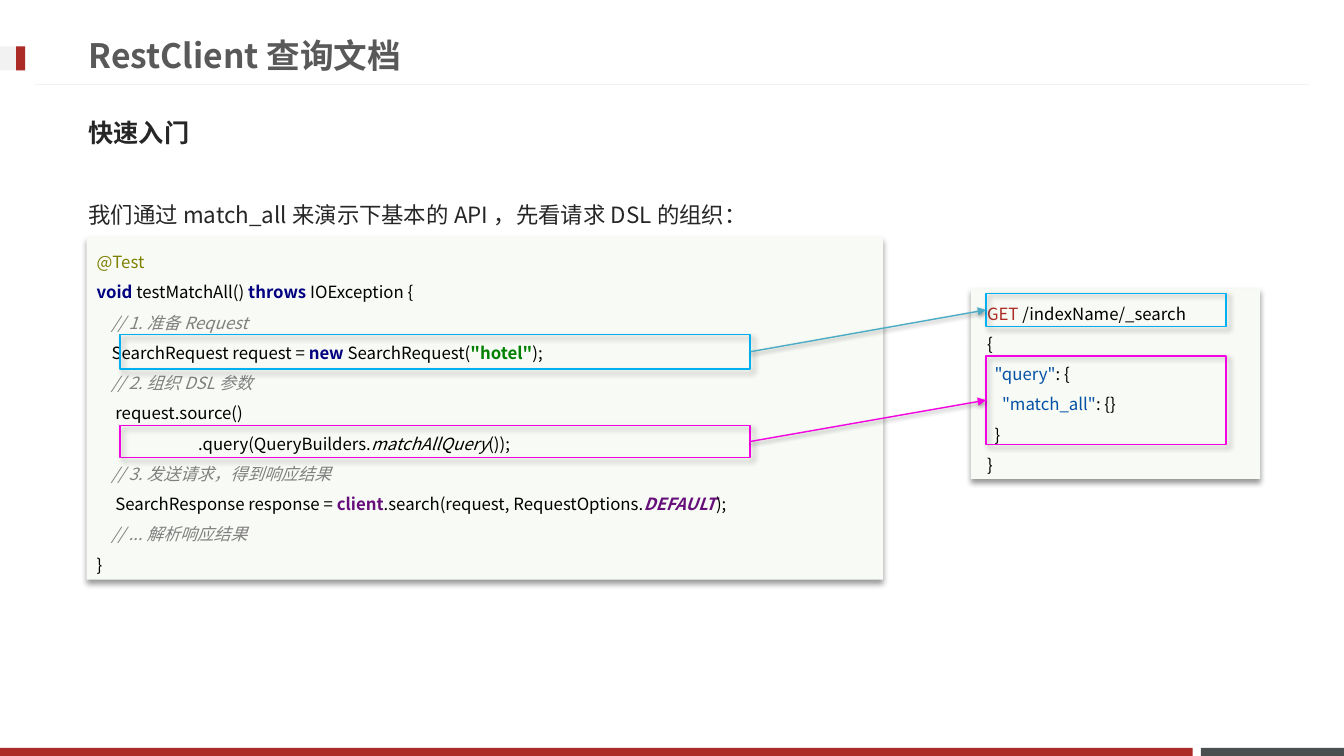
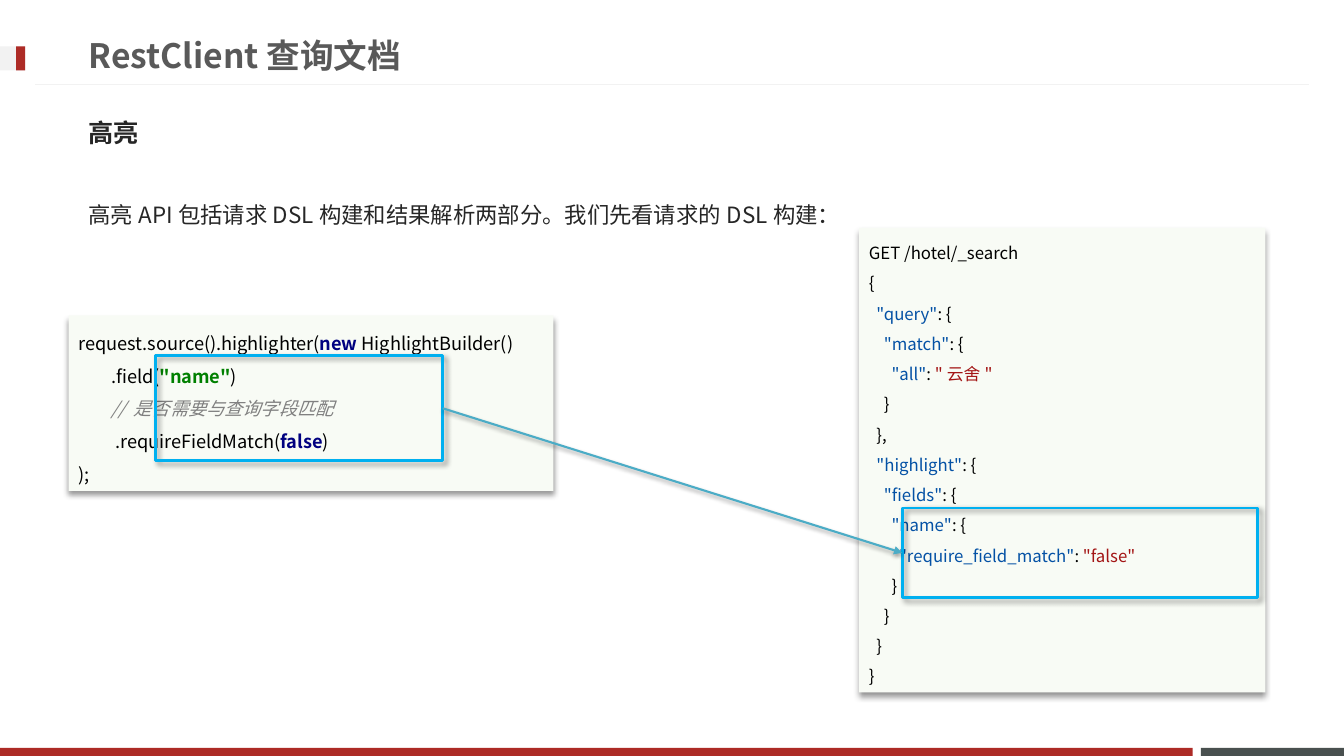
from dataclasses import dataclass

from lxml import etree
from pptx import Presentation
from pptx.dml.color import RGBColor
from pptx.enum.shapes import MSO_CONNECTOR, MSO_SHAPE
from pptx.enum.text import MSO_ANCHOR, MSO_AUTO_SIZE, PP_ALIGN
from pptx.oxml.ns import qn
from pptx.util import Emu, Inches, Pt

RECTANGLE = MSO_SHAPE.RECTANGLE
STRAIGHT = MSO_CONNECTOR.STRAIGHT
TOP, MIDDLE = MSO_ANCHOR.TOP, MSO_ANCHOR.MIDDLE
LEFT_ALIGNED = PP_ALIGN.LEFT
GROW = MSO_AUTO_SIZE.SHAPE_TO_FIT_TEXT
LEFT_SIDE, RIGHT_SIDE = 1, 3


@dataclass(frozen=True)
class Theme:
    font: str = "Noto Sans CJK SC"
    red: str = "AD2B26"
    slate: str = "49504F"
    pale: str = "F2F2F2"
    title: str = "595959"
    body: str = "262626"
    panel: str = "F8FBF5"
    cyan: str = "00B0F0"
    teal: str = "4BACC6"
    magenta: str = "F303E2"
    title_size: int = 24
    heading_size: int = 18
    intro_size: int = 16
    code_size: int = 12
    large_code_size: int = 13
    line_spacing: float = 1.5
    space_width: float = 0.224  # share of the type size


THEME = Theme()
WIDTH, HEIGHT = 13.33, 7.5
MARGIN = 0.78
TITLE = "RestClient查询文档"

# Code styles: colour, bold, italic
STYLES = {
    "plain": ("000000", False, False),
    "call": ("000000", False, True),
    "annotation": ("808000", False, False),
    "keyword": ("000080", True, False),
    "string": ("008000", True, False),
    "comment": ("808080", False, True),
    "field": ("660E7A", True, False),
    "constant": ("660E7A", True, True),
    "verb": (THEME.red, False, False),
    "key": ("0451A5", False, False),
    "value": ("A31515", False, False),
}


def plain(indent, text):
    return indent, [("plain", text)]


def comment(indent, text):
    return indent, [("comment", text)]


def entry(indent, key, mark, value=""):
    return indent, [("key", key), ("plain", mark), ("value", value)]


# Code lines: indent in characters, then styled runs
MATCH_ALL_JAVA = [
    (0, [("annotation", "@Test")]),
    (0, [("keyword", "void "), ("plain", "testMatchAll() "),
         ("keyword", "throws "), ("plain", "IOException {")]),
    comment(4, "// 1.准备Request"),
    (4, [("plain", "SearchRequest request = "), ("keyword", "new "),
         ("plain", "SearchRequest("), ("string", '"hotel"'), ("plain", ");")]),
    comment(4, "// 2.组织DSL参数"),
    plain(5, "request.source()"),
    (27, [("plain", ".query(QueryBuilders."), ("call", "matchAllQuery"),
          ("plain", "());")]),
    comment(4, "// 3.发送请求，得到响应结果"),
    (5, [("plain", "SearchResponse response = "), ("field", "client"),
         ("plain", ".search(request, RequestOptions."),
         ("constant", "DEFAULT"), ("plain", ");")]),
    comment(4, "// ...解析响应结果"),
    plain(0, "}"),
]
MATCH_ALL_DSL = [
    (0, [("verb", "GET"), ("plain", " /indexName/_search")]),
    plain(0, "{"),
    entry(2, '"query"', ": {"),
    entry(4, '"match_all"', ": {}"),
    plain(2, "}"),
    plain(0, "}"),
]
HIGHLIGHT_JAVA = [
    (0, [("plain", "request.source().highlighter("), ("keyword", "new "),
         ("plain", "HighlightBuilder()")]),
    (8, [("plain", ".field("), ("string", '"name"'), ("plain", ")")]),
    comment(8, "// 是否需要与查询字段匹配"),
    (9, [("plain", ".requireFieldMatch("), ("keyword", "false"), ("plain", ")")]),
    plain(0, ");"),
]
HIGHLIGHT_DSL = [
    plain(0, "GET /hotel/_search"),
    plain(0, "{"),
    entry(2, '"query"', ": {"),
    entry(4, '"match"', ": {"),
    entry(6, '"all"', ": ", '"云舍"'),
    plain(4, "}"),
    plain(2, "},"),
    entry(2, '"highlight"', ": {"),
    entry(4, '"fields"', ": {"),
    entry(6, '"name"', ": {"),
    entry(8, '"require_field_match"', ": ", '"false"'),
    plain(6, "}"),
    plain(4, "}"),
    plain(2, "}"),
    plain(0, "}"),
]

# Boxes are left, top, width, height in inches
SLIDES = [
    {
        "heading": "快速入门",
        "intro": "我们通过match_all来演示下基本的API，先看请求DSL的组织：",
        "panels": [
            {"box": (0.86, 2.35, 7.9, 3.4), "lines": MATCH_ALL_JAVA,
             "anchor": MIDDLE},
            {"box": (9.63, 2.86, 2.87, 1.89), "lines": MATCH_ALL_DSL,
             "inset": 0.16},
        ],
        "links": [
            {"source": (1.19, 3.32, 6.25, 0.34), "target": (9.78, 2.91, 2.38, 0.33),
             "frame": THEME.cyan, "arrow": THEME.teal},
            {"source": (1.19, 4.22, 6.25, 0.32), "target": (9.78, 3.53, 2.38, 0.88),
             "frame": THEME.magenta, "arrow": THEME.magenta},
        ],
        "frame_width": 1,
        "arrow_width": 1,
    },
    {
        "heading": "高亮",
        "intro": "高亮API包括请求DSL构建和结果解析两部分。我们先看请求的DSL构建：",
        "panels": [
            {"box": (0.68, 3.13, 4.81, 1.74), "lines": HIGHLIGHT_JAVA,
             "anchor": MIDDLE, "size": THEME.large_code_size},
            {"box": (8.52, 2.26, 4.03, 4.61), "lines": HIGHLIGHT_DSL},
        ],
        "links": [
            {"source": (1.54, 3.53, 2.85, 1.04), "target": (8.95, 5.04, 3.52, 0.89),
             "frame": THEME.cyan, "arrow": THEME.teal},
        ],
        "frame_width": 2,
        "arrow_width": 1.5,
    },
]


def rgb(value):
    return RGBColor.from_string(value)


def add_shadow(shape, angle, blur=4, distance=3):
    """Give a shape or connector a soft black shadow; lengths in points."""
    properties = shape._element.spPr
    effects = properties.find(qn("a:effectLst"))
    if effects is None:
        effects = etree.SubElement(properties, qn("a:effectLst"))
    shadow = etree.SubElement(
        effects, qn("a:outerShdw"), blurRad=str(Pt(blur)), dist=str(Pt(distance)),
        dir=str(angle * 60000), algn="ctr", rotWithShape="0")
    color = etree.SubElement(shadow, qn("a:srgbClr"), val="000000")
    etree.SubElement(color, qn("a:alpha"), val="40000")


def add_rectangle(slide, box, fill=None, line=None, line_width=1):
    shape = slide.shapes.add_shape(RECTANGLE, *map(Inches, box))
    shape.shadow.inherit = False
    if fill:
        shape.fill.solid()
        shape.fill.fore_color.rgb = rgb(fill)
    else:
        shape.fill.background()
    if line:
        shape.line.color.rgb = rgb(line)
        shape.line.width = Pt(line_width)
    else:
        shape.line.fill.background()
    return shape


def format_run(run, size, color, bold=False, italic=False):
    font = run.font
    font.size, font.bold, font.italic = Pt(size), bold, italic
    font.color.rgb = rgb(color)
    font.name = THEME.font
    etree.SubElement(run._r.get_or_add_rPr(), qn("a:ea"), typeface=THEME.font)


def add_text(slide, box, text, size, color, bold=False, anchor=MIDDLE, spacing=1.0):
    frame = slide.shapes.add_textbox(*map(Inches, box)).text_frame
    frame.word_wrap = True
    frame.vertical_anchor = anchor
    frame.text = text
    paragraph = frame.paragraphs[0]
    paragraph.line_spacing = spacing
    format_run(paragraph.runs[0], size, color, bold)


def add_code_panel(slide, box, lines, anchor=TOP, inset=0.1, size=THEME.code_size):
    panel = add_rectangle(slide, box, THEME.panel)
    add_shadow(panel, 90)
    frame = panel.text_frame
    frame.word_wrap = True
    frame.auto_size = GROW
    frame.vertical_anchor = anchor
    frame.margin_left = Inches(inset)
    frame.margin_right = Inches(0.04)
    for index, (indent, runs) in enumerate(lines):
        paragraph = frame.add_paragraph() if index else frame.paragraphs[0]
        paragraph.alignment = LEFT_ALIGNED
        paragraph.line_spacing = THEME.line_spacing
        left = Emu(round(indent * THEME.space_width * Pt(size)))
        properties = paragraph._p.get_or_add_pPr()
        properties.set("marL", str(left))
        properties.set("indent", "0")
        for style, text in runs:
            if text:
                run = paragraph.add_run()
                run.text = text
                format_run(run, size, *STYLES[style])


def add_line(slide, start, end, color, width):
    line = slide.shapes.add_connector(STRAIGHT, *map(Inches, start + end))
    line.line.color.rgb = rgb(color)
    line.line.width = Pt(width)
    etree.SubElement(line._element.spPr, qn("a:effectLst"))
    return line


def add_link(slide, link, frame_width, arrow_width):
    """Frame two pieces of code and join them with an arrow."""
    frames = []
    for box in (link["source"], link["target"]):
        frame = add_rectangle(slide, box, line=link["frame"], line_width=frame_width)
        add_shadow(frame, 45)
        frames.append(frame)
    arrow = add_line(slide, (0, 0), (1, 1), link["arrow"], arrow_width)
    arrow.begin_connect(frames[0], RIGHT_SIDE)
    arrow.end_connect(frames[1], LEFT_SIDE)
    etree.SubElement(arrow.line._get_or_add_ln(), qn("a:tailEnd"), type="triangle")
    add_shadow(arrow, 90, blur=3.1, distance=1.6)


def add_base(slide):
    """Draw the footer bands, the title rule, the marker and the title."""
    band = 0.08
    for left, right, color in ((11.91, WIDTH, THEME.slate), (0, 11.83, THEME.red)):
        add_rectangle(slide, (left, HEIGHT - band, right - left, band), color)
    add_line(slide, (WIDTH - 0.35, 0.84), (0.35, 0.84), THEME.pale, 0.75)
    for left, color in ((0, THEME.pale), (0.16, THEME.red)):
        add_rectangle(slide, (left, 0.46, 0.25 - left, 0.24), color)
    add_text(slide, (MARGIN, 0.26, 9.59, 0.57), TITLE,
             THEME.title_size, THEME.title, bold=True)


def build_slide(presentation, content):
    slide = presentation.slides.add_slide(presentation.slide_layouts[6])
    add_base(slide)
    text_width = WIDTH - 2 * MARGIN
    add_text(slide, (MARGIN, 1.03, text_width, 0.57), content["heading"],
             THEME.heading_size, THEME.body, bold=True)
    add_text(slide, (MARGIN, 1.81, text_width, 0.57), content["intro"],
             THEME.intro_size, THEME.body, anchor=TOP, spacing=THEME.line_spacing)
    for panel in content["panels"]:
        add_code_panel(slide, **panel)
    for link in content["links"]:
        add_link(slide, link, content["frame_width"], content["arrow_width"])


def main():
    presentation = Presentation()
    presentation.slide_width = Inches(WIDTH)
    presentation.slide_height = Inches(HEIGHT)
    for content in SLIDES:
        build_slide(presentation, content)
    presentation.save("out.pptx")


if __name__ == "__main__":
    main()
